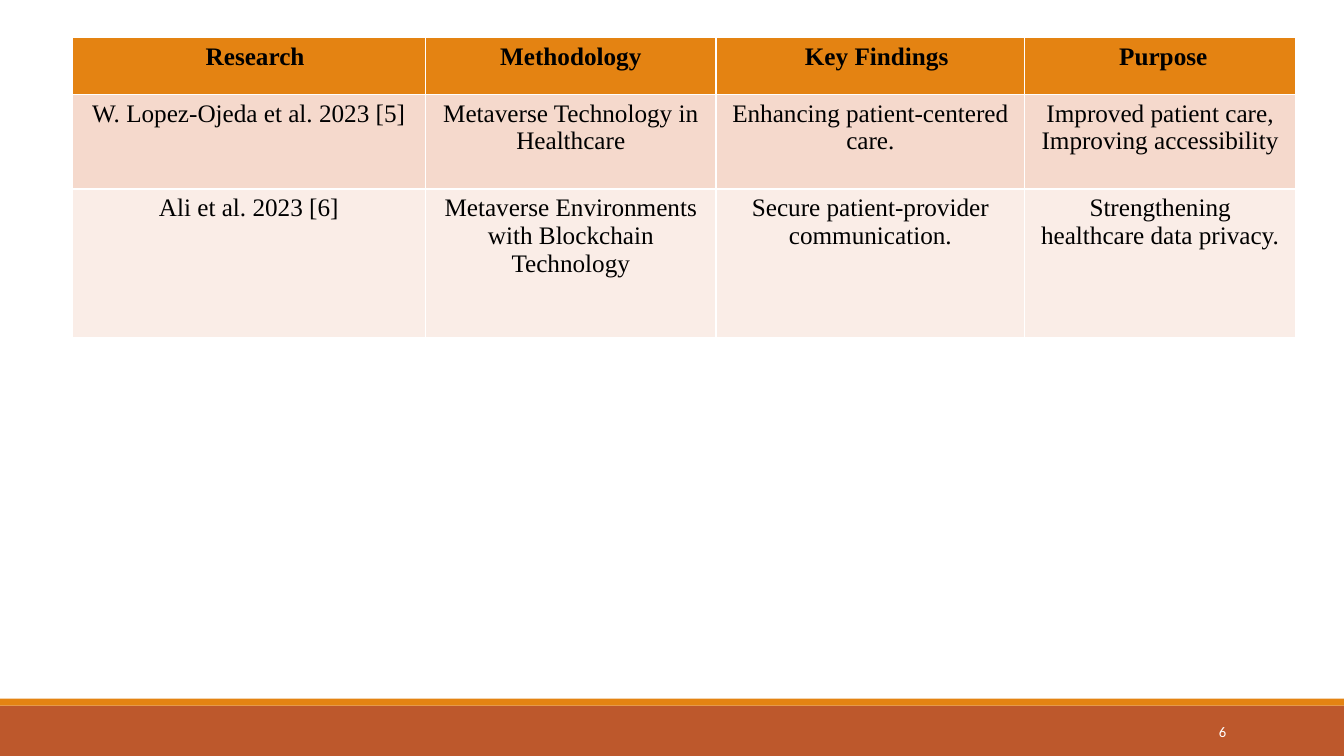
from pptx import Presentation
from pptx.dml.color import RGBColor
from pptx.enum.shapes import MSO_SHAPE as Shape
from pptx.enum.text import MSO_ANCHOR as Anchor, PP_ALIGN as Align
from pptx.util import Pt

ORANGE = RGBColor(0xE4, 0x83, 0x12)
RUST = RGBColor(0xBD, 0x58, 0x2C)
PEACH = RGBColor(0xF5, 0xD9, 0xCC)
BLUSH = RGBColor(0xFA, 0xED, 0xE7)
BLACK = RGBColor(0, 0, 0)
WHITE = RGBColor(0xFF, 0xFF, 0xFF)

STUDIES = [
    ("Research", "Methodology", "Key Findings", "Purpose"),
    (
        "W. Lopez-Ojeda et al. 2023 [5]",
        "Metaverse Technology in Healthcare",
        "Enhancing patient-centered care.",
        "Improved patient care,\nImproving accessibility",
    ),
    (
        "Ali et al. 2023 [6]",
        "Metaverse Environments with Blockchain Technology",
        "Secure patient-provider communication.",
        "Strengthening healthcare data privacy.",
    ),
]
PAGE_NUMBER = "6"

PAGE_WIDTH, PAGE_HEIGHT = 960, 540
TABLE_LEFT, TABLE_TOP = 51.5, 27
COLUMN_WIDTHS = [252.5, 207.5, 220.5, 193.5]
ROW_HEIGHTS = [40.5, 67.5, 106.5]
ROW_FILLS = [ORANGE, PEACH, BLUSH]
HEADER_INSETS = [9, 0, 9, 4.5]
CELL_MARGIN = 7.2
FOOTER_BARS = [(504, 36, RUST), (499, 5, ORANGE)]

HEADER_FONT = {"name": "Times New Roman", "size": Pt(18), "bold": True}
BODY_FONT = HEADER_FONT | {"bold": False}
NUMBER_FONT = {"name": "Calibri", "size": Pt(10.5)}


def write(frame, text, font, colour, alignment):
    frame.text = text
    for para in frame.paragraphs:
        para.alignment = alignment
        for span in para.runs:
            for key, value in font.items():
                setattr(span.font, key, value)
            span.font.color.rgb = colour


def add_footer(page):
    for top, height, colour in FOOTER_BARS:
        bar = page.shapes.add_shape(
            Shape.RECTANGLE, 0, Pt(top), Pt(PAGE_WIDTH), Pt(height)
        )
        bar.shadow.inherit = False
        bar.fill.solid()
        bar.fill.fore_color.rgb = colour
        bar.line.fill.background()
    box = page.shapes.add_textbox(Pt(780), Pt(508.5), Pt(103), Pt(28.5))
    box.text_frame.word_wrap = True
    box.text_frame.vertical_anchor = Anchor.MIDDLE
    write(box.text_frame, PAGE_NUMBER, NUMBER_FONT, WHITE, Align.RIGHT)


def add_studies(page):
    table = page.shapes.add_table(
        len(STUDIES), len(COLUMN_WIDTHS), Pt(TABLE_LEFT), Pt(TABLE_TOP),
        Pt(sum(COLUMN_WIDTHS)), Pt(sum(ROW_HEIGHTS)),
    ).table
    for column, width in zip(table.columns, COLUMN_WIDTHS):
        column.width = Pt(width)
    for row, height in zip(table.rows, ROW_HEIGHTS):
        row.height = Pt(height)
    for row_index, texts in enumerate(STUDIES):
        is_header = row_index == 0
        for column_index, text in enumerate(texts):
            cell = table.cell(row_index, column_index)
            cell.fill.solid()
            cell.fill.fore_color.rgb = ROW_FILLS[row_index]
            if is_header:
                cell.margin_left = Pt(CELL_MARGIN + HEADER_INSETS[column_index])
            font = HEADER_FONT if is_header else BODY_FONT
            write(cell.text_frame, text, font, BLACK, Align.CENTER)


def main():
    deck = Presentation()
    deck.slide_width, deck.slide_height = Pt(PAGE_WIDTH), Pt(PAGE_HEIGHT)
    page = deck.slides.add_slide(deck.slide_layouts[6])
    add_footer(page)
    add_studies(page)
    deck.save("out.pptx")


if __name__ == "__main__":
    main()
